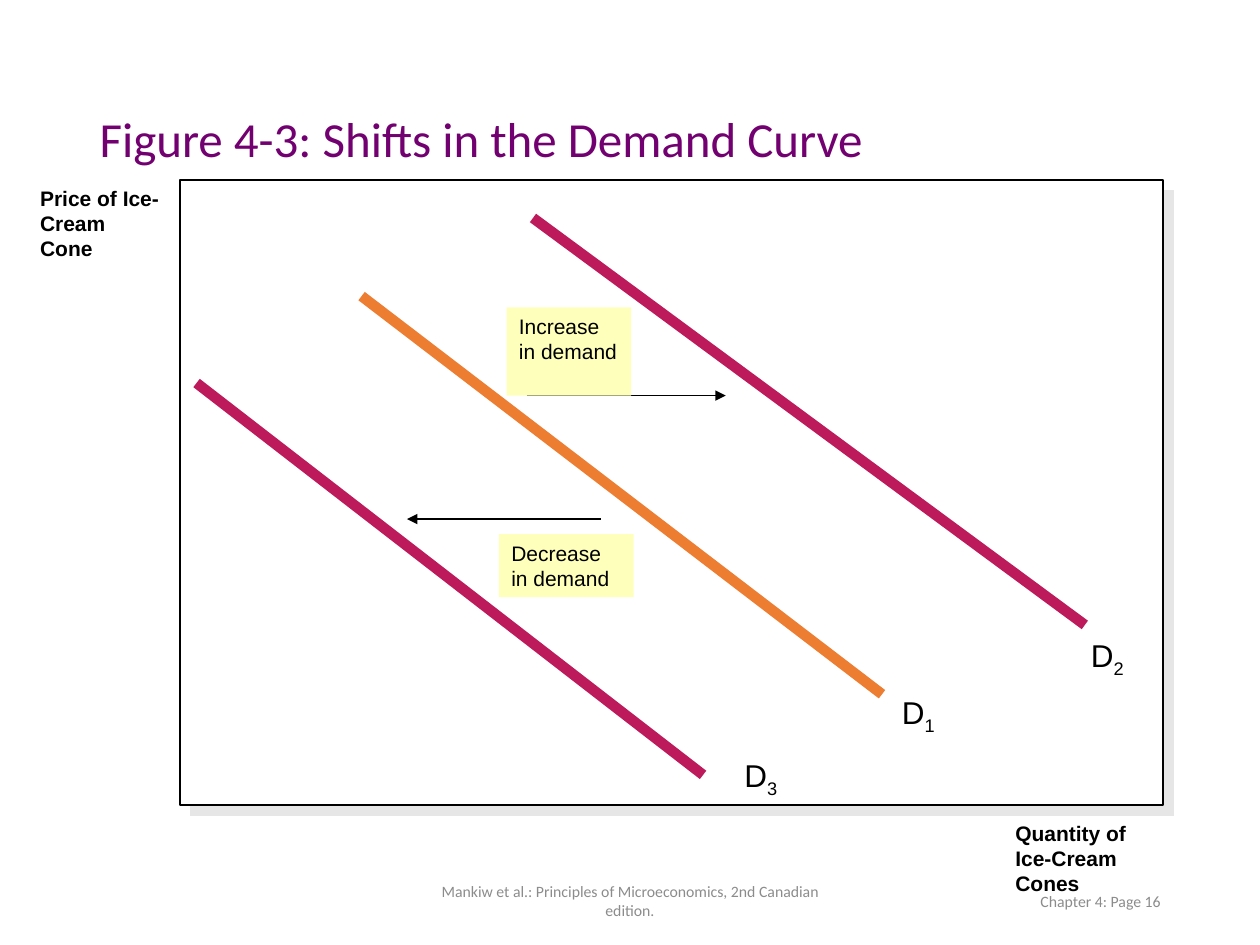
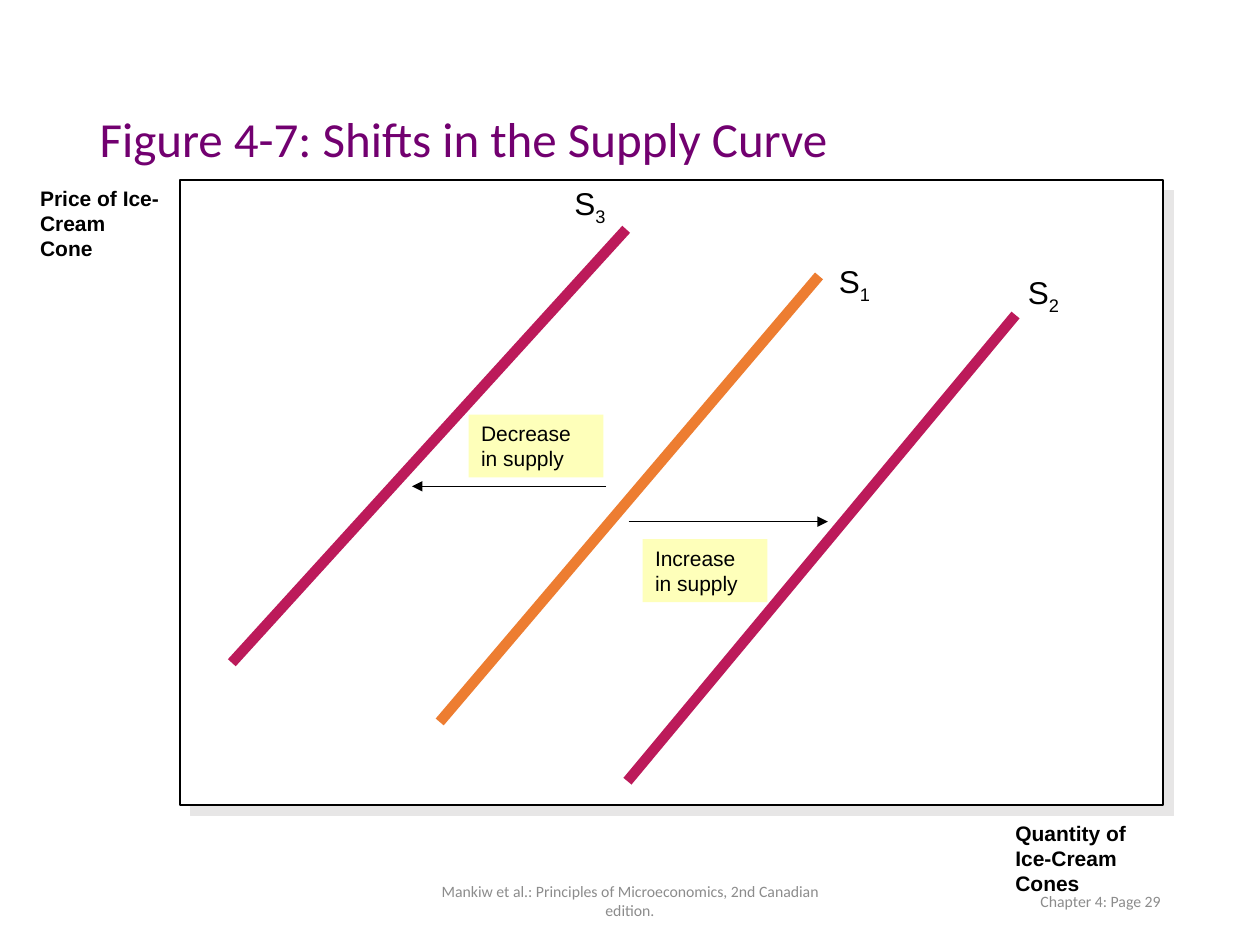
from dataclasses import dataclass

from lxml import etree
from pptx import Presentation
from pptx.dml.color import RGBColor
from pptx.enum.shapes import MSO_CONNECTOR, MSO_SHAPE
from pptx.enum.text import MSO_ANCHOR, MSO_AUTO_SIZE, PP_ALIGN
from pptx.oxml.ns import qn
from pptx.util import Inches, Pt

RECTANGLE = MSO_SHAPE.RECTANGLE
STRAIGHT = MSO_CONNECTOR.STRAIGHT
TOP, MIDDLE = MSO_ANCHOR.TOP, MSO_ANCHOR.MIDDLE
LEFT, CENTER, RIGHT = PP_ALIGN.LEFT, PP_ALIGN.CENTER, PP_ALIGN.RIGHT
NO_AUTOFIT = MSO_AUTO_SIZE.NONE
TITLE_ONLY = 5


@dataclass(frozen=True)
class Theme:
    title: str = "720070"
    footer: str = "8C8C8C"
    ink: str = "000000"
    paper: str = "FFFFFF"
    shadow: str = "E7E6E6"
    base_curve: str = "ED7D31"
    shifted_curve: str = "BC1A5A"
    note: str = "FEFFBA"
    heading_font: str = "Calibri"
    body_font: str = "Arial"
    title_size: float = 28
    curve_label_size: float = 18
    label_size: float = 12
    footer_size: float = 9
    curve_width: float = 6
    thin_width: float = 0.75


THEME = Theme()
FOOTER = "Mankiw et al.: Principles of Microeconomics, 2nd Canadian edition."
CURVE_LABEL_SIZE = (0.62, 0.4)

FIGURES = [
    {
        "title": "Figure 4-3: Shifts in the Demand Curve",
        "page": "Chapter 4: Page 16",
        "curves": [
            ("D", "3", (1.56, 3.04), (5.58, 6.15), (5.81, 5.95)),
            ("D", "1", (2.87, 2.35), (7, 5.51), (7.06, 5.45)),
            ("D", "2", (4.23, 1.73), (8.61, 4.96), (8.56, 5)),
        ],
        "shifts": [
            ("Decrease in demand", (4.77, 4.12), (3.23, 4.12), (3.96, 4.24, 1.07, 0.5)),
            ("Increase in demand", (4.18, 3.14), (5.76, 3.14), (4.02, 2.44, 0.99, 0.7)),
        ],
    },
    {
        "title": "Figure 4-7: Shifts in the Supply Curve",
        "page": "Chapter 4: Page 29",
        "curves": [
            ("S", "3", (1.84, 5.26), (4.97, 1.82), (4.46, 1.41)),
            ("S", "2", (4.98, 6.2), (8.06, 2.5), (8.06, 2.12)),
            ("S", "1", (3.49, 5.73), (6.5, 2.19), (6.56, 2.03)),
        ],
        "shifts": [
            ("Decrease in supply", (4.81, 3.86), (3.27, 3.86), (3.72, 3.29, 1.07, 0.5)),
            ("Increase in supply", (4.99, 4.14), (6.57, 4.14), (5.1, 4.28, 0.99, 0.5)),
        ],
    },
]


def color(value):
    return RGBColor.from_string(value)


def inches(values):
    return [Inches(value) for value in values]


def write(shape, text, size, font=THEME.body_font, ink=THEME.ink, bold=False,
          align=LEFT, anchor=TOP):
    frame = shape.text_frame
    frame.text = text
    frame.word_wrap = True
    frame.auto_size = NO_AUTOFIT
    frame.vertical_anchor = anchor
    paragraph = frame.paragraphs[0]
    paragraph.alignment = align
    style_run(paragraph.runs[0], size, font, ink, bold)
    return paragraph


def style_run(run, size, font=THEME.body_font, ink=THEME.ink, bold=False):
    run.font.size = Pt(size)
    run.font.name = font
    run.font.bold = bold
    run.font.color.rgb = color(ink)


def add_text(shapes, box, text, size, **style):
    return write(shapes.add_textbox(*inches(box)), text, size, **style)


def add_rectangle(shapes, box, fill):
    shape = shapes.add_shape(RECTANGLE, *inches(box))
    shape.shadow.inherit = False
    shape.fill.solid()
    shape.fill.fore_color.rgb = color(fill)
    shape.line.fill.background()
    return shape


def add_line(shapes, start, end, ink, width):
    line = shapes.add_connector(STRAIGHT, *inches(start + end))
    line.line.color.rgb = color(ink)
    line.line.width = Pt(width)
    etree.SubElement(line._element.spPr, qn("a:effectLst"))
    return line


def add_title(slide, text):
    title = slide.shapes.title
    title.left, title.top, title.width, title.height = inches((0.69, 0.4, 8.62, 1.45))
    paragraph = write(title, text, THEME.title_size, font=THEME.heading_font,
                      ink=THEME.title, anchor=MIDDLE)
    paragraph.line_spacing = 0.9


def add_footers(slide, page):
    for box, text, align in (
        ((3.31, 6.95, 3.38, 0.4), FOOTER, CENTER),
        ((7.06, 6.95, 2.25, 0.4), page, RIGHT),
    ):
        add_text(slide.shapes, box, text, THEME.footer_size, font=THEME.heading_font,
                 ink=THEME.footer, align=align, anchor=MIDDLE)


def add_plot_area(slide):
    plot = add_rectangle(slide.shapes, (1.43, 1.43, 7.8, 4.96), THEME.paper)
    plot.line.color.rgb = color(THEME.ink)
    plot.line.width = Pt(THEME.thin_width)
    effects = plot._element.spPr.find(qn("a:effectLst"))
    shadow = etree.SubElement(effects, qn("a:outerShdw"), dist=str(Pt(8.5)),
                              dir=str(45 * 60000), algn="ctr", rotWithShape="0")
    etree.SubElement(shadow, qn("a:srgbClr"), val=THEME.shadow)
    for box, text in (
        ((0.22, 1.42, 1.17, 0.7), "Price of Ice-Cream Cone"),
        ((7.96, 6.46, 1.35, 0.7), "Quantity of Ice-Cream Cones"),
    ):
        add_text(slide.shapes, box, text, THEME.label_size, bold=True)


def add_curve(slide, letter, number, start, end, label_position):
    shapes = slide.shapes.add_group_shape().shapes
    ink = THEME.base_curve if number == "1" else THEME.shifted_curve
    add_line(shapes, start, end, ink, THEME.curve_width)
    paragraph = add_text(shapes, label_position + CURVE_LABEL_SIZE, letter,
                         THEME.curve_label_size)
    subscript = paragraph.add_run()
    subscript.text = number
    style_run(subscript, THEME.curve_label_size)
    subscript._r.get_or_add_rPr().set("baseline", "-25000")


def add_shift(slide, text, start, end, note_box):
    shapes = slide.shapes.add_group_shape().shapes
    arrow = add_line(shapes, start, end, THEME.ink, THEME.thin_width)
    etree.SubElement(arrow.line._get_or_add_ln(), qn("a:tailEnd"), type="triangle")
    write(add_rectangle(shapes, note_box, THEME.note), text, THEME.label_size)


def add_figure(presentation, figure):
    slide = presentation.slides.add_slide(presentation.slide_layouts[TITLE_ONLY])
    add_title(slide, figure["title"])
    add_footers(slide, figure["page"])
    add_plot_area(slide)
    for curve in figure["curves"]:
        add_curve(slide, *curve)
    for shift in figure["shifts"]:
        add_shift(slide, *shift)


def main():
    presentation = Presentation()
    presentation.slide_width, presentation.slide_height = inches((10, 7.5))
    for figure in FIGURES:
        add_figure(presentation, figure)
    presentation.save("out.pptx")


if __name__ == "__main__":
    main()
